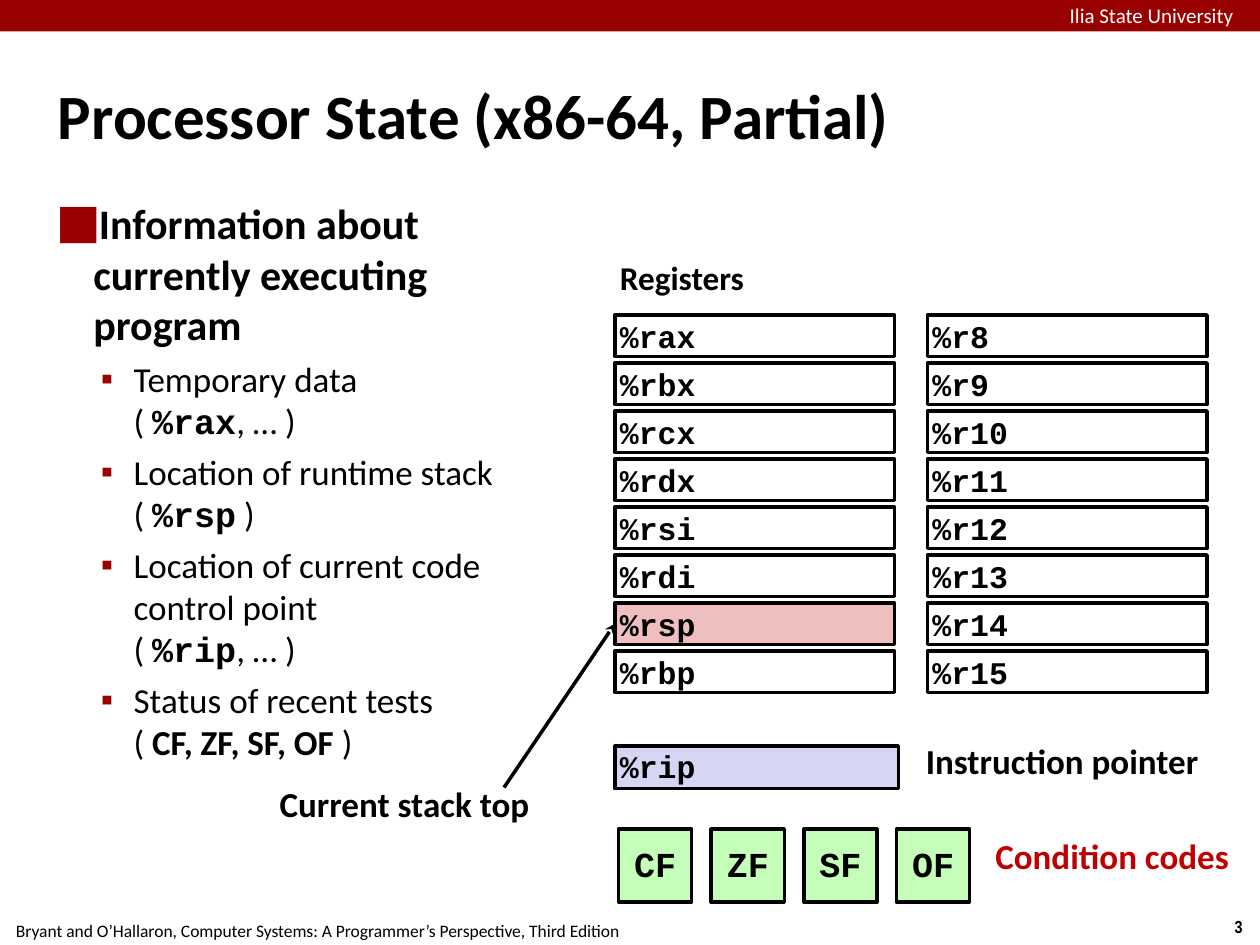
from lxml import etree
from pptx import Presentation
from pptx.dml.color import RGBColor
from pptx.enum.shapes import MSO_CONNECTOR, MSO_SHAPE
from pptx.enum.text import MSO_ANCHOR, MSO_AUTO_SIZE, PP_ALIGN
from pptx.oxml.ns import qn
from pptx.util import Inches, Pt

LEFT, CENTER = PP_ALIGN.LEFT, PP_ALIGN.CENTER
TOP, MIDDLE = MSO_ANCHOR.TOP, MSO_ANCHOR.MIDDLE
RECTANGLE = MSO_SHAPE.RECTANGLE
STRAIGHT = MSO_CONNECTOR.STRAIGHT
NO_AUTOFIT = MSO_AUTO_SIZE.NONE

COLORS = {
    "black": "000000",
    "white": "FFFFFF",
    "maroon": "990000",
    "red": "C00000",
    "stack": "EFBFBF",
    "pointer": "D6D6F4",
    "flag": "C5FEB8",
}
SANS, NARROW, MONO = "Calibri", "Arial Narrow", "Courier New"

REGISTER_COLUMNS = [
    ["%rax", "%rbx", "%rcx", "%rdx", "%rsi", "%rdi", "%rsp", "%rbp"],
    [f"%r{number}" for number in range(8, 16)],
]
GRID_LEFT, GRID_TOP = 4.88, 2.5
COLUMN_STEP, ROW_STEP = 2.48, 0.381
REGISTER_WIDTH, REGISTER_HEIGHT = 2.22, 0.33

FLAGS = ["CF", "ZF", "SF", "OF"]
FLAG_LEFT, FLAG_TOP, FLAG_STEP, FLAG_SIZE = 4.91, 6.58, 0.735, 0.58

DETAILS = [
    ("Temporary data", "%rax", MONO, ", … )"),
    ("Location of runtime stack", "%rsp", MONO, " )"),
    ("Location of current code control point", "%rip", MONO, ", … )"),
    ("Status of recent tests", "CF, ZF, SF, OF", SANS, " )"),
]


def color(name):
    return RGBColor.from_string(COLORS[name])


def add_run(paragraph, text, size, font=SANS, bold=True, ink="black"):
    run = paragraph.add_run()
    run.text = text
    run.font.name = font
    run.font.size = Pt(size)
    run.font.bold = bold
    run.font.color.rgb = color(ink)


def set_frame(shape, anchor=TOP, insets=(0.04, 0.04), wrap=True):
    frame = shape.text_frame
    frame.auto_size = NO_AUTOFIT
    frame.word_wrap = wrap
    frame.vertical_anchor = anchor
    frame.margin_left = frame.margin_right = Inches(insets[0])
    frame.margin_top = frame.margin_bottom = Inches(insets[1])
    return frame


def set_indent(paragraph, margin, hanging):
    properties = paragraph._p.get_or_add_pPr()
    properties.set("marL", str(Inches(margin)))
    properties.set("indent", str(-Inches(hanging)))
    return properties


def set_bullet(paragraph, character, margin, hanging):
    properties = set_indent(paragraph, margin, hanging)
    bullet_color = etree.SubElement(properties, qn("a:buClr"))
    etree.SubElement(bullet_color, qn("a:srgbClr")).set("val", COLORS["maroon"])
    etree.SubElement(properties, qn("a:buChar")).set("char", character)


def place(shape, left, top, width, height):
    shape.left, shape.top = Inches(left), Inches(top)
    shape.width, shape.height = Inches(width), Inches(height)


def add_label(slide, text, box, size=20, align=LEFT, insets=(0.04, 0.04), **style):
    shape = slide.shapes.add_textbox(*map(Inches, box))
    paragraph = set_frame(shape, insets=insets, wrap=False).paragraphs[0]
    paragraph.alignment = align
    add_run(paragraph, text, size, **style)


def add_box(slide, text, box, fill=None, size=18, align=LEFT, spacing=1.0):
    shape = slide.shapes.add_shape(RECTANGLE, *map(Inches, box))
    shape.shadow.inherit = False
    if fill:
        shape.fill.solid()
        shape.fill.fore_color.rgb = color(fill)
    else:
        shape.fill.background()
    shape.line.color.rgb = color("black")
    shape.line.width = Pt(2)
    paragraph = set_frame(shape, MIDDLE).paragraphs[0]
    paragraph.alignment = align
    paragraph.line_spacing = spacing
    add_run(paragraph, text, size, MONO)


def add_arrow(slide, start, end):
    arrow = slide.shapes.add_connector(STRAIGHT, *map(Inches, start + end))
    arrow.line.color.rgb = color("black")
    arrow.line.width = Pt(2)
    etree.SubElement(arrow.line._get_or_add_ln(), qn("a:tailEnd")).set("type", "stealth")
    etree.SubElement(arrow._element.spPr, qn("a:effectLst"))


def add_banner(slide):
    banner = slide.shapes.add_shape(RECTANGLE, 0, 0, Inches(10), Inches(0.25))
    banner.shadow.inherit = False
    banner.fill.solid()
    banner.fill.fore_color.rgb = color("maroon")
    banner.line.fill.background()
    add_label(slide, "Ilia State University", (8.49, 0.02, 1.5, 0.19), 12,
              insets=(0, 0), bold=False, ink="white")


def fill_title(slide):
    title = slide.shapes.title
    place(title, 0.42, 0.28, 9.17, 1.25)
    paragraph = set_frame(title, MIDDLE).paragraphs[0]
    paragraph.alignment = LEFT
    set_indent(paragraph, 0.13, 0.13)
    add_run(paragraph, "Processor State (x86-64, Partial)", 36)


def fill_body(slide):
    body = slide.placeholders[1]
    place(body, 0.42, 1.53, 3.65, 5.94)
    frame = set_frame(body)
    heading = frame.paragraphs[0]
    set_bullet(heading, "⬛", 0.28, 0.28)
    heading.space_before = Pt(0)
    add_run(heading, "Information about currently executing program", 24)
    for lead, code, font, ending in DETAILS:
        paragraph = frame.add_paragraph()
        paragraph.level = 1
        set_bullet(paragraph, "▪", 0.6, 0.26)
        paragraph.space_before = Pt(5)
        add_run(paragraph, lead, 20, bold=False)
        paragraph.add_line_break()
        add_run(paragraph, "( ", 20, bold=False)
        add_run(paragraph, code, 20, font)
        add_run(paragraph, ending, 20, bold=False)


def add_registers(slide):
    for column, names in enumerate(REGISTER_COLUMNS):
        for row, name in enumerate(names):
            box = (GRID_LEFT + column * COLUMN_STEP, GRID_TOP + row * ROW_STEP,
                   REGISTER_WIDTH, REGISTER_HEIGHT)
            add_box(slide, name, box, "stack" if name == "%rsp" else None)


def add_flags(slide):
    for index, name in enumerate(FLAGS):
        box = (FLAG_LEFT + index * FLAG_STEP, FLAG_TOP, FLAG_SIZE, FLAG_SIZE)
        add_box(slide, name, box, "flag", 20, CENTER, 0.95)


def main():
    presentation = Presentation()
    presentation.slide_width, presentation.slide_height = Inches(10), Inches(7.5)
    slide = presentation.slides.add_slide(presentation.slide_layouts[1])
    add_label(slide, "3", (9.66, 7.22, 0.34, 0.27), 10, CENTER, (0.1, 0.05), font=NARROW)
    add_label(slide, "Bryant and O’Hallaron, Computer Systems: "
              "A Programmer’s Perspective, Third Edition",
              (-0.02, 7.25, 5.08, 0.27), 10, CENTER, (0.1, 0.05), bold=False)
    add_banner(slide)
    fill_title(slide)
    fill_body(slide)
    add_box(slide, "%rip", (GRID_LEFT, 5.92, 2.25, 0.34), "pointer", spacing=0.95)
    add_label(slide, "Registers", (GRID_LEFT, 2, 1.12, 0.42), 19)
    add_label(slide, "Current stack top", (2.17, 6.17, 2.08, 0.42), align=CENTER)
    add_label(slide, "Instruction pointer", (7.3, 5.83, 2.26, 0.42), align=CENTER)
    add_flags(slide)
    add_label(slide, "Condition codes", (7.86, FLAG_TOP, 1.97, 0.49), ink="red")
    add_registers(slide)
    add_arrow(slide, (4, 6.25), (GRID_LEFT, 4.95))
    presentation.save("out.pptx")


if __name__ == "__main__":
    main()
